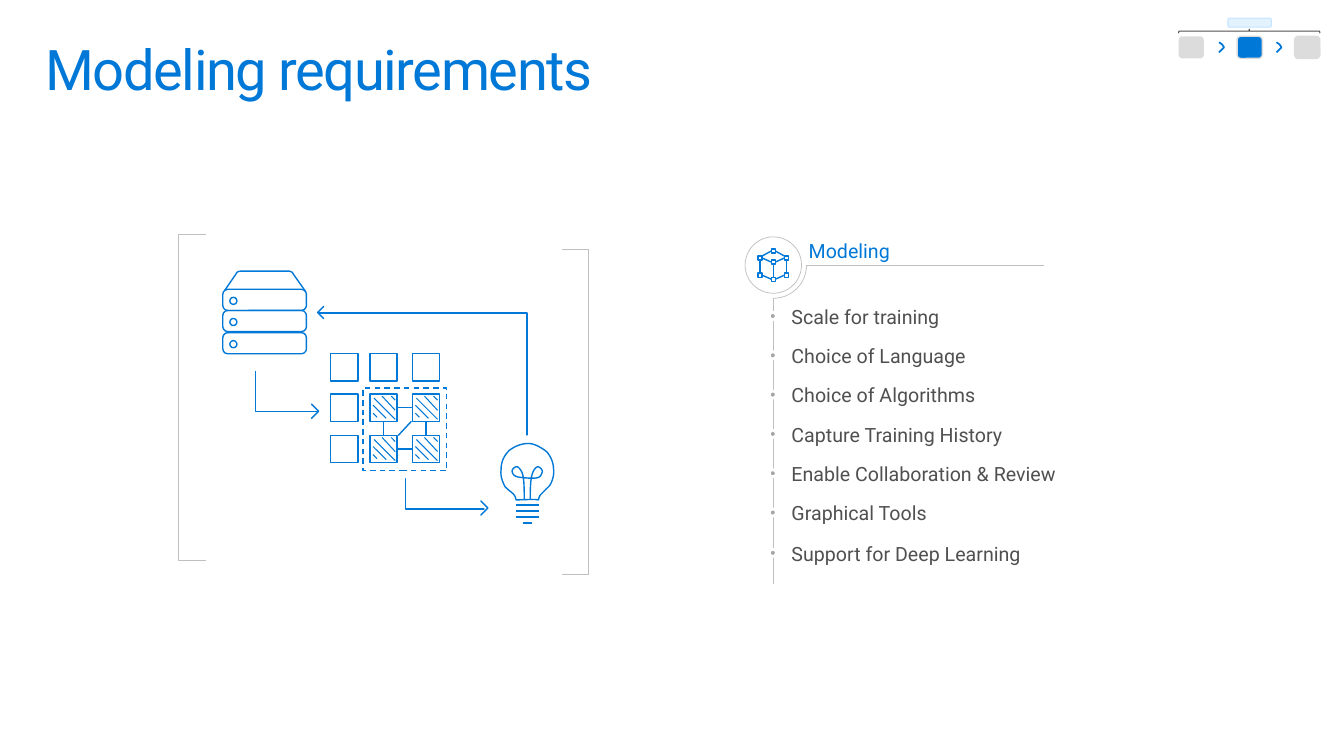
"""Build the slide on modeling requirements."""
from lxml import etree
from pptx import Presentation
from pptx import util as u
from pptx.dml.color import RGBColor
from pptx.enum import dml, shapes, text
from pptx.oxml.ns import qn

PX = 9144
KIND = shapes.MSO_SHAPE
COLORS = {"blue": "0078D7", "rule": "BFBFBF", "dot": "A6A6A6", "text": "505050", "white": "FFFFFF",
          "idle": "DCDCDC", "pale": "E2F2FF", "pale_edge": "C4E5FF"}


def ink(item, hue, weight, fill=None):
    """Style the outline and fill of a shape or a connector."""
    if not hasattr(item, "begin_x"):
        if fill:
            item.fill.solid()
            item.fill.fore_color.rgb = RGBColor.from_string(COLORS[fill])
        else:
            item.fill.background()
    if hue:
        item.line.color.rgb = RGBColor.from_string(COLORS[hue])
        item.line.width = u.Pt(weight)
    else:
        item.line.fill.background()
    etree.SubElement(item._element.spPr, qn("a:effectLst"))


def draw(group, kind, frame, hue="blue", weight=1, fill=None, turn=0, adjust=()):
    """Add a preset shape to a group."""
    shape = group.shapes.add_shape(kind, *(n * PX for n in frame))
    ink(shape, hue, weight, fill)
    shape.rotation = turn
    for index, value in enumerate(adjust):
        shape.adjustments[index] = value
    return shape


deck = Presentation()
deck.slide_width, deck.slide_height = 1333 * PX, 750 * PX
page = deck.slides.add_slide(deck.slide_layouts[6])

title = page.shapes.add_textbox(29 * PX, 32 * PX, 1275 * PX, 98 * PX)
checklist, diagram, tracker = (page.shapes.add_group_shape() for _ in range(3))

draw(checklist, KIND.OVAL, (739, 235, 56, 56), "rule", 0.5, "white")
draw(checklist, KIND.ARC, (734, 230, 66, 66), "rule", 0.5, adjust=(0, 54))

for row in range(3):
    top = 287 + 43 * row // 2
    draw(diagram, KIND.ROUNDED_RECTANGLE, (221, top, 83, 21), adjust=(0.239,))
    draw(diagram, KIND.OVAL, (228, top + 8, 7, 7))
for frame, turn in (((264, 358, 40, 61), 270), ((426, 451, 30, 78), 270), ((359, 268, 121, 206), 90)):
    draw(diagram, KIND.BENT_ARROW, frame, turn=turn, adjust=(0.25, 0, 0.25, 0))
for frame, turn in (((309, 401, 7, 14), 0), ((477, 497, 7, 14), 0), ((315, 304, 6, 12), 180)):
    draw(diagram, KIND.CHEVRON, frame, turn=turn, adjust=(1,))
for kind, left, top in ((KIND.LEFT_BRACKET, 177, 233), (KIND.RIGHT_BRACKET, 557, 247)):
    draw(diagram, kind, (left, top, 27, 323), "rule", 0.5, adjust=(0,))

tile_lefts, tile_tops = (328, 367, 409), (351, 391, 432)
tiles = [[draw(diagram, KIND.RECTANGLE, (left, top, 27, 27)) for left in tile_lefts] for top in tile_tops]
selection = draw(diagram, KIND.RECTANGLE, (360, 385, 83, 82))
selection.line.dash_style = dml.MSO_LINE.DASH

links = [(tiles[row][1], 3, tiles[row][2], 1) for row in (1, 2)]
links += [(tiles[1][column], 2, tiles[2][column], 0) for column in (1, 2)]
for start, start_side, end, end_side in links:
    link = diagram.shapes.add_connector(shapes.MSO_CONNECTOR.STRAIGHT, 0, 0, 0, 0)
    link.begin_connect(start, start_side)
    link.end_connect(end, end_side)
    ink(link, "blue", 1)

lines = [(checklist, "rule", 0.5, (800, 263, 1035, 263)),
         (checklist, "rule", 0.5, (767, 296, 767, 579)),
         (diagram, "blue", 1, (408, 418, 395, 432)),
         (diagram, "blue", 1, (519, 519, 528, 519))]
lines += [(diagram, "blue", 1, (512, y, 535, y)) for y in (501, 507, 513)]
hatching = ((21, 2, 25, 6), (12, 2, 25, 16), (4, 4, 25, 25), (3, 11, 16, 24), (3, 19, 7, 23))
lines += [(diagram, "blue", 0.75, (left + x1, top + y1, left + x2, top + y2))
          for left in tile_lefts[1:] for top in tile_tops[1:] for x1, y1, x2, y2 in hatching]
for group, hue, weight, ends in lines:
    line = group.shapes.add_connector(shapes.MSO_CONNECTOR.STRAIGHT, *(n * PX for n in ends))
    ink(line, hue, weight)

cube_corners = ((780, 273), (767, 277), (754, 273), (754, 256), (767, 260), (767, 249), (780, 256))
cube = [[(x - 2, y - 2), (x + 2, y - 2), (x + 2, y + 2), (x - 2, y + 2), (x - 2, y - 2)]
        for x, y in cube_corners]
cube += [[(756, 254), (765, 249)], [(769, 249), (778, 254)], [(769, 260), (778, 256)],
         [(780, 258), (780, 271)], [(767, 262), (767, 275)], [(754, 258), (754, 271)],
         [(756, 256), (765, 260)], [(769, 277), (778, 273)], [(765, 277), (756, 273)]]
server_lid = [(223, 288), (234, 272), (235, 269, 238, 269, 240, 269), (287, 269),
              (290, 270, 290, 270, 291, 272), (303, 289)]
filament = [(520, 495), (520, 487, 520, 480, 519, 473), (518, 467, 515, 464, 513, 463),
            (510, 463, 508, 466, 508, 467), (508, 469, 509, 472, 513, 473),
            (517, 474, 529, 475, 533, 474), (537, 473, 537, 470, 538, 468),
            (538, 466, 536, 464, 534, 463), (531, 463, 528, 468, 527, 474),
            (526, 481, 526, 487, 526, 495)]
bulb = [(512, 496), (518, 496, 531, 495, 534, 496), (535, 493, 535, 492, 537, 490),
        (539, 488, 542, 485, 545, 482), (548, 478, 550, 470, 549, 465),
        (549, 459, 546, 452, 542, 448), (537, 444, 530, 440, 524, 440),
        (517, 440, 510, 443, 505, 447), (500, 452, 497, 458, 497, 466),
        (496, 473, 499, 479, 501, 483), (504, 486, 507, 488, 509, 490),
        (511, 492, 511, 493, 512, 496)]
outlines = [(checklist, 1, cube)] + [(diagram, 1, [curve]) for curve in (server_lid, filament, bulb)]
outlines += [(tracker, 1.25, [[(x, 42), (x + 3, 44), (x + 5, 47), (x + 3, 49), (x, 52)]])
             for x in (1209, 1266)]
for group, weight, contours in outlines:
    pen = group.shapes.build_freeform(*(n * PX for n in contours[0][0]), scale=1.0)
    for contour in contours:
        pen.move_to(*(n * PX for n in contour[0]))
        for before, segment in zip(contour, contour[1:]):
            points = [segment]
            if len(segment) == 6:
                nodes = (before[-2:], segment[:2], segment[2:4], segment[4:])
                points = []
                for step in range(1, 9):
                    t = step / 8
                    shares = ((1 - t) ** 3, 3 * t * (1 - t) ** 2, 3 * t * t * (1 - t), t ** 3)
                    points.append([sum(s * node[axis] for s, node in zip(shares, nodes)) for axis in (0, 1)])
            pen.add_line_segments([(x * PX, y * PX) for x, y in points], close=False)
    ink(pen.convert_to_shape(), "blue", weight)

draw(tracker, KIND.ROUNDED_RECTANGLE, (1218, 18, 43, 9), "pale_edge", 0.75, "pale")
for left, hue, fill in ((1169, None, "idle"), (1227, "idle", "blue"), (1284, "idle", "idle")):
    draw(tracker, KIND.ROUNDED_RECTANGLE, (left, 36, 25, 22), hue, 1, fill)
draw(tracker, KIND.LEFT_BRACE, (1237, -39, 4, 140), "text", 0.75, turn=90)

heading = checklist.shapes.add_textbox(802 * PX, 237 * PX, 211 * PX, 24 * PX)
labels = [(title, "Modeling requirements", "blue", 40), (heading, "Modeling", "blue", 14)]
needs = ["Scale for training", "Choice of Language", "Choice of Algorithms", "Capture Training History",
         "Enable Collaboration & Review", "Graphical Tools", "Support for Deep Learning"]
for index, need in enumerate(needs):
    top = 302 + 235 * index // 6
    draw(checklist, KIND.OVAL, (763, top + 8, 7, 7), "white", 2, "dot")
    labels.append((checklist.shapes.add_textbox(785 * PX, top * PX, 322 * PX, 24 * PX), need, "text", 14))

plain = {"word_wrap": True, "margin_left": 0, "margin_right": 0, "margin_top": 0, "margin_bottom": 0,
         "vertical_anchor": text.MSO_ANCHOR.MIDDLE}
roomy = {"word_wrap": True, "margin_left": 16 * PX, "margin_right": 16 * PX, "margin_top": 10 * PX,
         "margin_bottom": 10 * PX, "vertical_anchor": text.MSO_ANCHOR.TOP}
for box, words, hue, size in labels:
    for name, value in (roomy if box is title else plain).items():
        setattr(box.text_frame, name, value)
    para = box.text_frame.paragraphs[0]
    span = para.add_run()
    span.text = words
    for name, value in {"name": "Roboto", "size": u.Pt(size)}.items():
        setattr(span.font, name, value)
    span.font.color.rgb = RGBColor.from_string(COLORS[hue])
    if box is title:
        para.line_spacing = 0.9
        span._r.get_or_add_rPr().set("spc", "-100")

deck.save("out.pptx")
